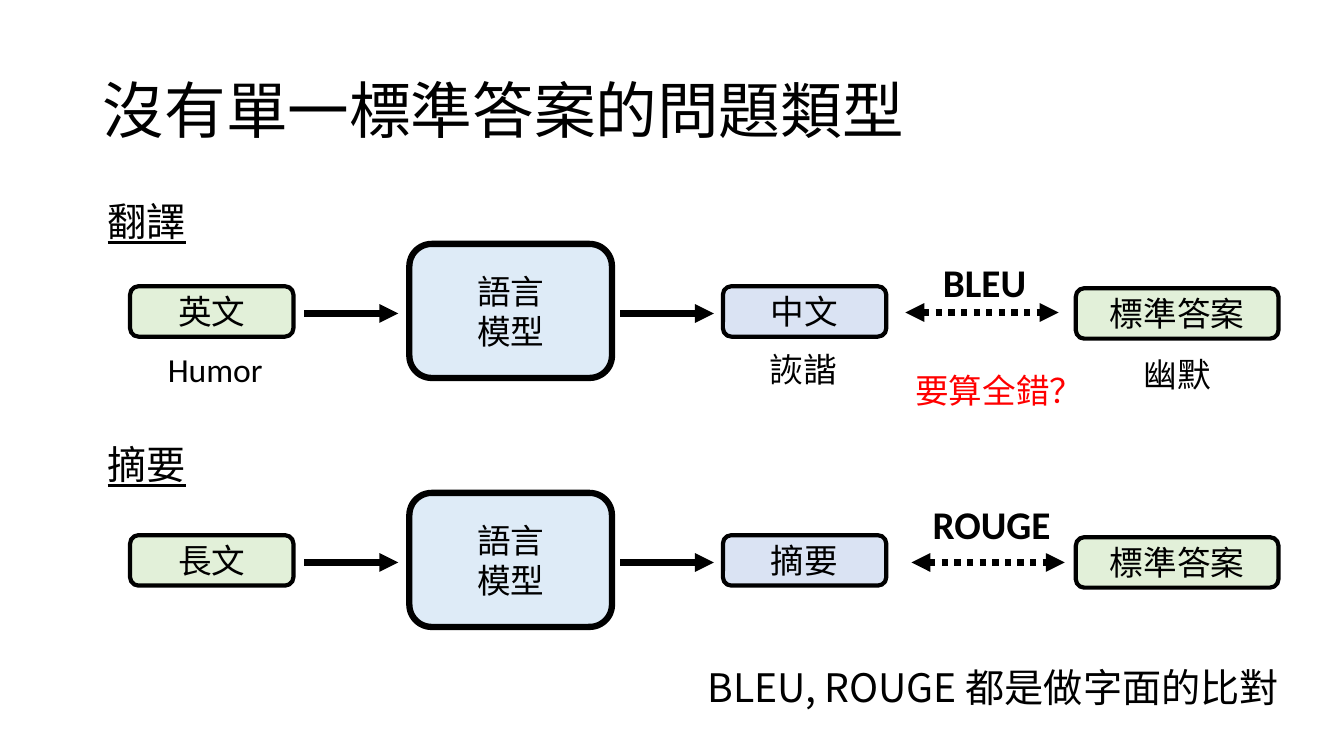
"""Build a slide on question types that have no single standard answer."""
from pptx import Presentation
from pptx.dml.color import RGBColor
from pptx.enum.dml import MSO_LINE
from pptx.enum.shapes import MSO_CONNECTOR, MSO_SHAPE
from pptx.enum.text import MSO_ANCHOR, MSO_AUTO_SIZE, PP_ALIGN
from pptx.oxml.ns import qn
from pptx.util import Inches, Pt
from lxml.etree import SubElement

CHINESE, LATIN = "Noto Sans CJK SC", "Calibri"
BLACK, RED = "000000", "FF0000"
GREEN, BLUE, LAVENDER = "E2F0D9", "DEEBF7", "DAE3F3"
TITLE = "沒有單一標準答案的問題類型"
ROW_TOP, ROW_PITCH = 2.42, 2.47

TASKS = [
    {"heading": ("翻譯", 1.91), "input": "英文", "output": "中文",
     "metric": ("BLEU", 9.03, 2.51), "compare": (8.98, 3.1)},
    {"heading": ("摘要", 4.32), "input": "長文", "output": "摘要",
     "metric": ("ROUGE", 9.1, 4.91), "compare": (9.04, 5.58)},
]
NOTES = [
    ("BLEU, ROUGE 都是做字面的比對", 6.17, 6.53, 7.36, 28, CHINESE, BLACK),
    ("Humor", 1.38, 3.41, 1.51, 24, LATIN, BLACK),
    ("幽默", 10.92, 3.46, 1.51, 24, CHINESE, BLACK),
    ("詼諧", 7.21, 3.41, 1.51, 24, CHINESE, BLACK),
    ("要算全錯？", 8.89, 3.62, 2.04, 24, CHINESE, RED),
]


def rgb(value):
    return RGBColor.from_string(value)


def write(frame, text, size, font=CHINESE, color=BLACK, align=PP_ALIGN.CENTER,
          bold=None, underline=None):
    frame.text = text
    frame.word_wrap = True
    for para in frame.paragraphs:
        para.alignment = align
        for span in para.runs:
            span.font.size = Pt(size)
            span.font.name = font
            span.font.bold = bold
            span.font.underline = underline
            span.font.color.rgb = rgb(color)
            SubElement(span.font._element, qn("a:ea"), typeface=font)


def add_label(slide, text, left, top, width, size, font=CHINESE, color=BLACK, **style):
    height = 0.57 if size == 28 else 0.5
    box = slide.shapes.add_textbox(Inches(left), Inches(top), Inches(width), Inches(height))
    write(box.text_frame, text, size, font, color, **style)
    box.text_frame.auto_size = MSO_AUTO_SIZE.SHAPE_TO_FIT_TEXT


def add_box(slide, text, left, top, width, height, fill, weight):
    box = slide.shapes.add_shape(MSO_SHAPE.ROUNDED_RECTANGLE, Inches(left), Inches(top),
                                 Inches(width), Inches(height))
    box.shadow.inherit = False
    box.fill.solid()
    box.fill.fore_color.rgb = rgb(fill)
    box.line.color.rgb = rgb(BLACK)
    box.line.width = Pt(weight)
    box.text_frame.vertical_anchor = MSO_ANCHOR.MIDDLE
    write(box.text_frame, text, 24)


def add_arrow(slide, left, top, length, both_ways=False):
    arrow = slide.shapes.add_connector(MSO_CONNECTOR.STRAIGHT, Inches(left), Inches(top),
                                       Inches(left + length), Inches(top))
    arrow.line.color.rgb = rgb(BLACK)
    arrow.line.width = Pt(4.5)
    if both_ways:
        arrow.line.dash_style = MSO_LINE.ROUND_DOT
    outline = arrow.get_or_add_ln()
    for end in ("a:headEnd", "a:tailEnd") if both_ways else ("a:tailEnd",):
        SubElement(outline, qn(end), type="triangle")
    SubElement(arrow._element.spPr, qn("a:effectLst"))


def add_task(slide, task, top):
    for left in (3.02, 6.15):
        add_arrow(slide, left, top + 0.69, 0.93)
    add_box(slide, "語言\n模型", 4.06, top, 2.01, 1.33, BLUE, 4.5)
    add_box(slide, task["input"], 1.29, top + 0.42, 1.62, 0.5, GREEN, 3)
    add_box(slide, task["output"], 7.17, top + 0.42, 1.62, 0.5, LAVENDER, 3)
    add_box(slide, "標準答案", 10.67, top + 0.44, 2.01, 0.5, GREEN, 3)
    heading, heading_top = task["heading"]
    add_label(slide, heading, 0.81, heading_top, 1.29, 28, underline=True)
    add_arrow(slide, *task["compare"], 1.52, both_ways=True)
    add_label(slide, *task["metric"], 1.47, 28, LATIN, bold=True)


def main():
    deck = Presentation()
    deck.slide_width, deck.slide_height = Inches(13.33), Inches(7.5)
    slide = deck.slides.add_slide(deck.slide_layouts[5])
    title = slide.shapes.title
    title.left, title.top = Inches(0.92), Inches(0.4)
    title.width, title.height = Inches(11.5), Inches(1.45)
    write(title.text_frame, TITLE, 44, align=PP_ALIGN.LEFT)
    title.text_frame.vertical_anchor = MSO_ANCHOR.MIDDLE
    title.text_frame.paragraphs[0].line_spacing = 0.9
    for index, task in enumerate(TASKS):
        add_task(slide, task, ROW_TOP + index * ROW_PITCH)
    for note in NOTES:
        add_label(slide, *note)
    deck.save("out.pptx")


if __name__ == "__main__":
    main()
